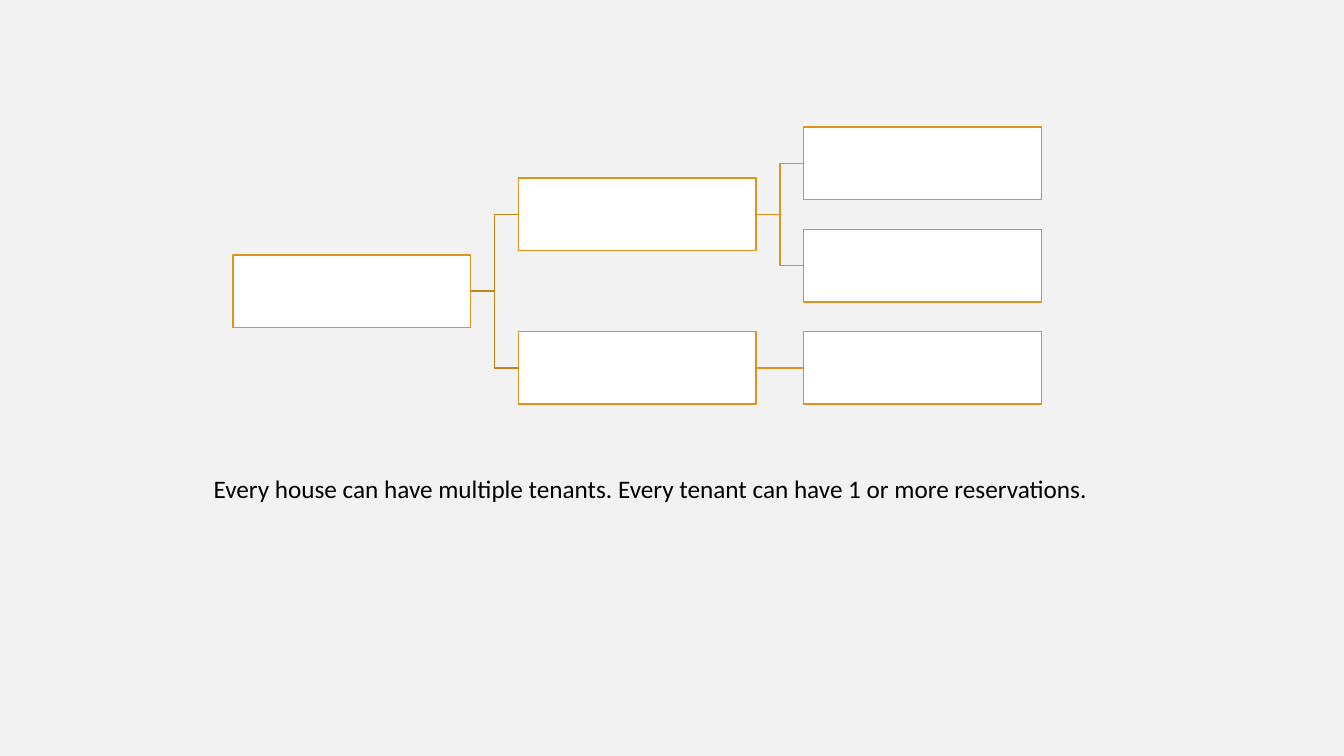
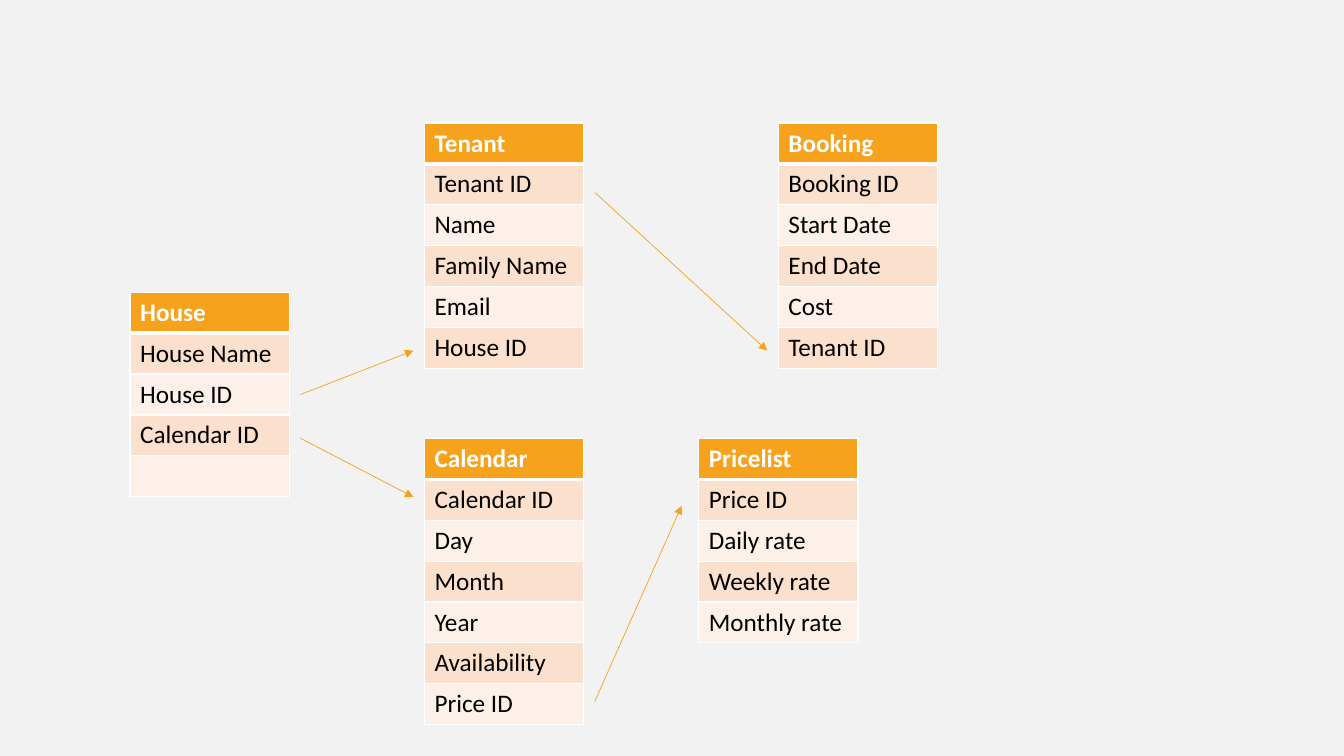
from dataclasses import dataclass

from lxml.etree import SubElement
from pptx import Presentation
from pptx.dml.color import RGBColor
from pptx.enum.shapes import MSO_CONNECTOR as Wire, MSO_SHAPE as Form
from pptx.enum.text import MSO_AUTO_SIZE as Fit
from pptx.oxml.ns import qn
from pptx.shapes.autoshape import Shape
from pptx.shapes.connector import Connector
from pptx.slide import Slide
from pptx.table import _Cell as Cell
from pptx.text.text import TextFrame
from pptx.util import Inches, Pt

HEX = {
    "back": "F2F2F2", "white": "FFFFFF", "black": "000000",
    "edge": "DF931A", "root": "C58217", "head": "F6A21D",
    "odd": "FBE0CD", "even": "FDF0E8",
}
FONT, SIZE = "Calibri", 18

# Tree grid: left of first column, middle of first row, and the steps
TREE_X, TREE_Y = 2.31, 1.62
COL, ROW = 2.83, 1.015
BOX_W, BOX_H = 2.36, 0.72

# Data tables
WIDTH, LINE = 1.58, 29.2 / 72


@dataclass(frozen=True)
class Node:
    kids: tuple["Node", ...] = ()


@dataclass(frozen=True)
class Sheet:
    left: float
    top: float
    rows: tuple[str, ...]


@dataclass(frozen=True)
class Arrow:
    """Runs from one sheet to the next; rows count down from the sheet's top."""
    start: str
    start_row: float
    end: str
    end_row: float
    gap: float = 0.11


TREE = Node((Node((Node(), Node())), Node((Node(),))))

SHEETS = {
    "house": Sheet(1.29, 2.9, ("House", "House Name", "House ID", "Calendar ID", "")),
    "tenant": Sheet(4.21, 1.22, ("Tenant", "Tenant ID", "Name", "Family Name",
                                 "Email", "House ID")),
    "booking": Sheet(7.72, 1.22, ("Booking", "Booking ID", "Start Date", "End Date",
                                  "Cost", "Tenant ID")),
    "calendar": Sheet(4.21, 4.35, ("Calendar", "Calendar ID", "Day", "Month", "Year",
                                   "Availability", "Price ID")),
    "prices": Sheet(6.93, 4.35, ("Pricelist", "Price ID", "Daily rate",
                                 "Weekly rate", "Monthly rate")),
}

ARROWS = (
    Arrow("house", 2.5, "tenant", 5.57),
    Arrow("tenant", 1.7, "booking", 5.57),
    Arrow("house", 3.57, "calendar", 1.43),
    Arrow("calendar", 6.43, "prices", 1.65, 0.17),
)


def color(name: str) -> RGBColor:
    return RGBColor.from_string(HEX[name])


def style(frame: TextFrame, tone: str, bold: bool = False) -> None:
    for para in frame.paragraphs:
        for run in para.runs:
            run.font.name, run.font.size = FONT, Pt(SIZE)
            run.font.bold = bold
            run.font.color.rgb = color(tone)


def draw_wire(slide: Slide, kind: Wire, ends: tuple[float, ...],
              tone: str, width: float) -> Connector:
    wire = slide.shapes.add_connector(kind, *map(Inches, ends))
    wire.line.color.rgb, wire.line.width = color(tone), Pt(width)
    SubElement(wire._element.spPr, qn("a:effectLst"))
    return wire


def draw_box(slide: Slide, x: float, mid: float) -> Shape:
    box = slide.shapes.add_shape(Form.RECTANGLE, Inches(x), Inches(mid - BOX_H / 2),
                                 Inches(BOX_W), Inches(BOX_H))
    box.shadow.inherit = False
    box.fill.solid()
    box.fill.fore_color.rgb = color("white")
    box.line.color.rgb, box.line.width = color("edge"), Pt(1)
    return box


def draw_node(slide: Slide, node: Node, depth: int = 0, leaf: int = 0) -> tuple[float, int]:
    """Draws a branch centred on its children; returns its middle and next free leaf."""
    mids = []
    for kid in node.kids:
        mid, leaf = draw_node(slide, kid, depth + 1, leaf)
        mids.append(mid)
    if not mids:
        mids, leaf = [TREE_Y + leaf * ROW], leaf + 1
    x, mid = TREE_X + depth * COL, (mids[0] + mids[-1]) / 2
    draw_box(slide, x, mid)
    for end in mids if node.kids else ():
        kind = Wire.STRAIGHT if end == mid else Wire.ELBOW
        draw_wire(slide, kind, (x + BOX_W, mid, x + COL, end),
                  "edge" if depth else "root", 1)
    return mid, leaf


def add_edge(cell: Cell, side: str, width: float) -> None:
    edge = SubElement(cell._tc.get_or_add_tcPr(), qn(f"a:ln{side}"), w=str(Pt(width)))
    fill = SubElement(edge, qn("a:solidFill"))
    SubElement(fill, qn("a:srgbClr"), val=HEX["white"])


def draw_sheet(slide: Slide, sheet: Sheet) -> None:
    count = len(sheet.rows)
    grid = slide.shapes.add_table(count, 1, Inches(sheet.left), Inches(sheet.top),
                                  Inches(WIDTH), Inches(LINE * count)).table
    for i, text in enumerate(sheet.rows):
        grid.rows[i].height = Inches(LINE)
        cell = grid.cell(i, 0)
        for side in "LRTB":
            thick = (i, side) in ((0, "B"), (1, "T"))
            add_edge(cell, side, 3 if thick else 1)
        cell.fill.solid()
        cell.fill.fore_color.rgb = color("head" if i == 0 else "odd" if i % 2 else "even")
        cell.text_frame.text = text
        style(cell.text_frame, "black" if i else "white", i == 0)


def draw_arrow(slide: Slide, arrow: Arrow) -> None:
    start, end = SHEETS[arrow.start], SHEETS[arrow.end]
    ends = (start.left + WIDTH + 0.11, start.top + arrow.start_row * LINE,
            end.left - arrow.gap, end.top + arrow.end_row * LINE)
    wire = draw_wire(slide, Wire.STRAIGHT, ends, "head", 0.5)
    SubElement(wire.line._get_or_add_ln(), qn("a:tailEnd"), type="triangle")


def draw_note(slide: Slide, text: str) -> None:
    frame = slide.shapes.add_textbox(Inches(2.02), Inches(4.65),
                                     Inches(10.66), Inches(0.4)).text_frame
    frame.word_wrap, frame.auto_size = True, Fit.SHAPE_TO_FIT_TEXT
    frame.text = text
    style(frame, "black")


def main() -> None:
    deck = Presentation()
    deck.slide_width, deck.slide_height = Inches(13.33), Inches(7.5)
    back = deck.slide_master.background.fill
    back.solid()
    back.fore_color.rgb = color("back")
    blank = deck.slide_layouts[6]

    tree = deck.slides.add_slide(blank)
    draw_node(tree, TREE)
    draw_note(tree, "Every house can have multiple tenants. "
                    "Every tenant can have 1 or more reservations.")

    data = deck.slides.add_slide(blank)
    for sheet in SHEETS.values():
        draw_sheet(data, sheet)
    for arrow in ARROWS:
        draw_arrow(data, arrow)

    deck.save("out.pptx")


if __name__ == "__main__":
    main()
